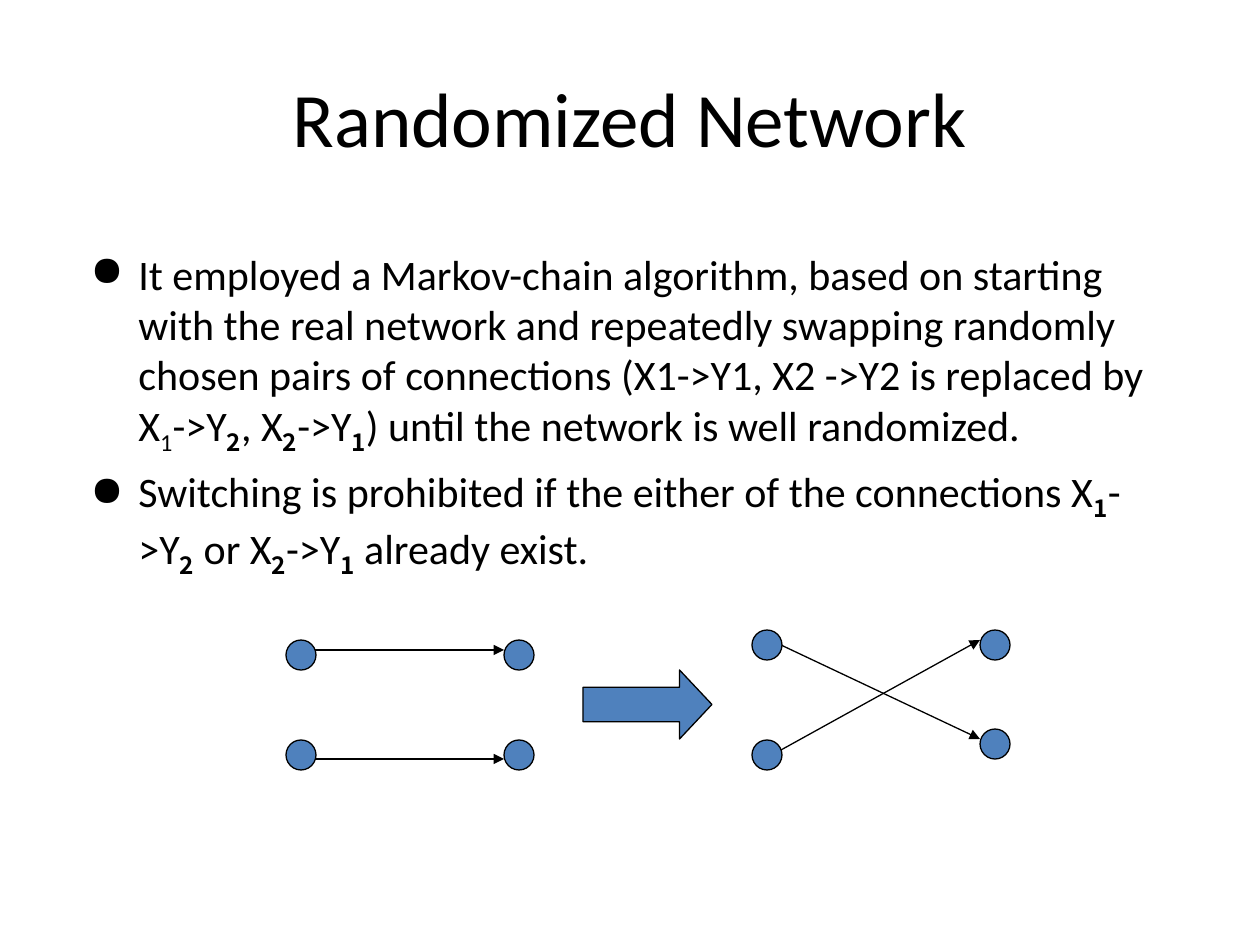
from dataclasses import dataclass

from lxml import etree
from pptx import Presentation
from pptx.dml.color import RGBColor
from pptx.enum.shapes import MSO_CONNECTOR, MSO_SHAPE
from pptx.enum.text import MSO_ANCHOR, PP_ALIGN
from pptx.oxml.ns import qn
from pptx.util import Emu, Pt

LINE = MSO_CONNECTOR.STRAIGHT
NODE = MSO_SHAPE.FLOWCHART_CONNECTOR
ARROW = MSO_SHAPE.RIGHT_ARROW
MIDDLE, TOP = MSO_ANCHOR.MIDDLE, MSO_ANCHOR.TOP
CENTER = PP_ALIGN.CENTER

COLORS = {"ink": "000000", "node": "4F81BD"}
FONT, SUBFONT = "Calibri", "Noto Sans CJK SC"
SCALE = 914400 / 126
SIZE = 30  # node diameter
INDENT = 48


@dataclass
class Box:
    x: int
    y: int
    w: int
    h: int


@dataclass
class Edge:
    x1: int
    y1: int
    x2: int
    y2: int


@dataclass
class Part:
    text: str
    sub: bool = False
    bold: bool = False


def px(n: int) -> Emu:
    return Emu(round(n * SCALE))


def color(name: str) -> RGBColor:
    return RGBColor.from_string(COLORS[name])


def low(text: str) -> Part:
    return Part(text, sub=True, bold=True)


def add_frame(slide, box: Box, anchor):
    frame = slide.shapes.add_textbox(px(box.x), px(box.y), px(box.w), px(box.h)).text_frame
    frame.word_wrap = True
    frame.vertical_anchor = anchor
    return frame


def add_run(para, part: Part, size: int) -> None:
    run = para.add_run()
    run.text = part.text
    font = run.font
    font.size = Pt(size)
    font.name = SUBFONT if part.bold else FONT
    font.bold = part.bold
    font.color.rgb = color("ink")
    if part.sub:
        run._r.get_or_add_rPr().set("baseline", "-25000")


def add_bullet(para) -> None:
    props = para._p.get_or_add_pPr()
    props.set("marL", str(px(INDENT)))
    props.set("indent", str(-px(INDENT)))
    space = etree.SubElement(props, qn("a:spcBef"))
    etree.SubElement(space, qn("a:spcPct")).set("val", "20000")
    etree.SubElement(props, qn("a:buChar")).set("char", "●")


def add_shape(slide, kind, box: Box):
    shape = slide.shapes.add_shape(kind, px(box.x), px(box.y), px(box.w), px(box.h))
    shape.shadow.inherit = False
    shape.fill.solid()
    shape.fill.fore_color.rgb = color("node")
    shape.line.color.rgb = color("ink")
    shape.line.width = Pt(0.75)
    return shape


def add_edge(slide, edge: Edge) -> None:
    link = slide.shapes.add_connector(
        LINE, px(edge.x1), px(edge.y1), px(edge.x2), px(edge.y2))
    link.line.color.rgb = color("ink")
    link.line.width = Pt(0.75)
    etree.SubElement(link.line._get_or_add_ln(), qn("a:tailEnd")).set("type", "triangle")
    etree.SubElement(link._element.spPr, qn("a:effectLst"))


TITLE = Part("Randomized Network")
BULLETS = [
    [Part("It employed a Markov-chain algorithm, based on starting with the real "
          "network and repeatedly swapping randomly chosen pairs of connections "
          "(X1->Y1, X2 ->Y2 is replaced by X"),
     Part("1", sub=True), Part("->Y"), low("2"), Part(", X"), low("2"),
     Part("->Y"), low("1"), Part(") until the network is well randomized.")],
    [Part("Switching is prohibited if the either of the connections X"),
     low("1"), Part("->Y"), low("2"), Part(" or X"), low("2"),
     Part("->Y"), low("1"), Part(" already exist.")],
]
# Left and top of each node, before and after the swap
NODES = [(286, 640), (286, 740), (504, 640), (504, 740),
         (752, 630), (752, 740), (980, 630), (980, 729)]
EDGES = [Edge(315, 650, 504, 650), Edge(315, 759, 504, 759),
         Edge(781, 645, 980, 739), Edge(781, 750, 980, 640)]


def main() -> None:
    deck = Presentation()
    deck.slide_width, deck.slide_height = px(1260), px(945)
    slide = deck.slides.add_slide(deck.slide_layouts[6])

    # Title
    para = add_frame(slide, Box(63, 38, 1134, 157), MIDDLE).paragraphs[0]
    para.alignment = CENTER
    add_run(para, TITLE, 44)

    # Bullets
    frame = add_frame(slide, Box(78, 242, 1103, 519), TOP)
    for i, parts in enumerate(BULLETS):
        para = frame.add_paragraph() if i else frame.paragraphs[0]
        add_bullet(para)
        for part in parts:
            add_run(para, part, 24)

    # Network before and after
    for edge in EDGES:
        add_edge(slide, edge)
    for x, y in NODES:
        add_shape(slide, NODE, Box(x, y, SIZE, SIZE))

    # Block arrow between the networks
    arrow = add_shape(slide, ARROW, Box(583, 670, 129, 69))
    arrow.adjustments[0] = 0.5
    arrow.adjustments[1] = 0.47

    deck.save("out.pptx")


if __name__ == "__main__":
    main()
